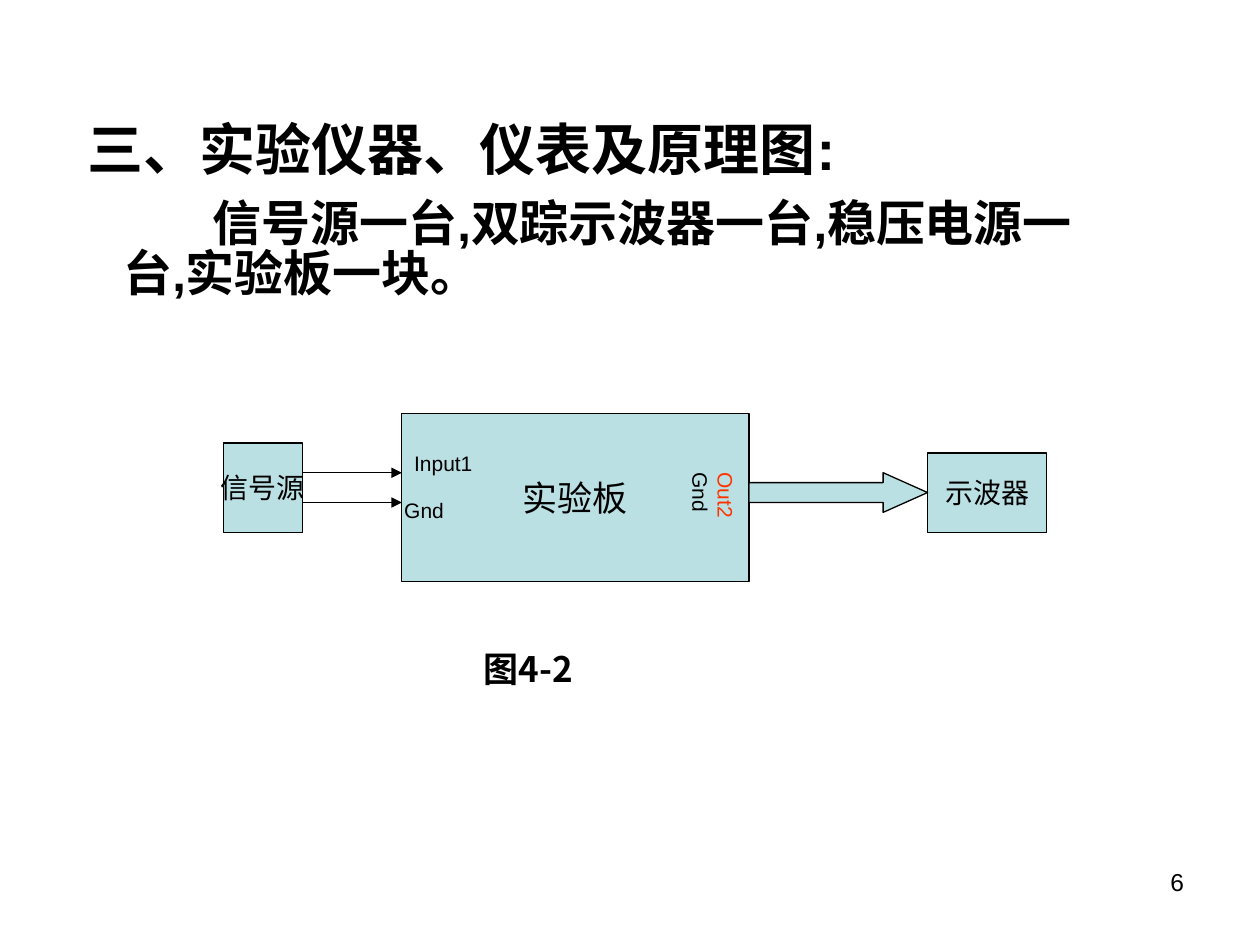
import dataclasses

import lxml.etree
import pptx
import pptx.dml.color
import pptx.enum.shapes
import pptx.enum.text
import pptx.oxml.ns
import pptx.util

Cm = pptx.util.Cm
Pt = pptx.util.Pt
ALIGN = pptx.enum.text.PP_ALIGN
SHAPE = pptx.enum.shapes.MSO_SHAPE


@dataclasses.dataclass(frozen=True)
class Theme:
    """Colours, fonts and type sizes of the slide."""
    ink: str = "000000"
    fill: str = "BBE0E3"
    accent: str = "FF3300"
    latin: str = "Arial"
    chinese: str = "Noto Sans CJK SC"
    heading: int = 32
    body: int = 28
    large: int = 20
    medium: int = 16
    page: int = 14
    small: int = 12
    line: float = 0.75


THEME = Theme()


def rgb(value):
    """Turn a hex string into a colour."""
    return pptx.dml.color.RGBColor.from_string(value)


def add_run(paragraph, text, size, color=THEME.ink, bold=False, font=THEME.latin):
    """Add one formatted run to a paragraph."""
    run = paragraph.add_run()
    run.text = text
    run.font.size = Pt(size)
    run.font.bold = bold
    run.font.name = font
    run.font.color.rgb = rgb(color)
    east_asian = lxml.etree.SubElement(run._r.get_or_add_rPr(), pptx.oxml.ns.qn("a:ea"))
    east_asian.set("typeface", THEME.chinese)


def add_text_box(slide, left, top, width, height):
    """Add a wrapping text box, measured in centimetres, and return its frame."""
    box = slide.shapes.add_textbox(Cm(left), Cm(top), Cm(width), Cm(height))
    box.text_frame.word_wrap = True
    return box.text_frame


def add_block(slide, kind, left, top, width, height):
    """Add a filled and outlined preset shape."""
    shape = slide.shapes.add_shape(kind, Cm(left), Cm(top), Cm(width), Cm(height))
    shape.shadow.inherit = False
    shape.fill.solid()
    shape.fill.fore_color.rgb = rgb(THEME.fill)
    shape.line.color.rgb = rgb(THEME.ink)
    shape.line.width = Pt(THEME.line)
    return shape


def add_device(slide, name, size, left, top, width, height):
    """Add a rectangle with a centred device name."""
    frame = add_block(slide, SHAPE.RECTANGLE, left, top, width, height).text_frame
    frame.word_wrap = False
    frame.vertical_anchor = pptx.enum.text.MSO_ANCHOR.MIDDLE
    paragraph = frame.paragraphs[0]
    paragraph.alignment = ALIGN.CENTER
    add_run(paragraph, name, size)


def add_wire(slide, left, top, length):
    """Add a horizontal line with an arrowhead on its right end."""
    wire = slide.shapes.add_connector(
        pptx.enum.shapes.MSO_CONNECTOR.STRAIGHT, Cm(left), Cm(top), Cm(left + length), Cm(top))
    wire.line.color.rgb = rgb(THEME.ink)
    wire.line.width = Pt(THEME.line)
    head = lxml.etree.SubElement(wire.line._get_or_add_ln(), pptx.oxml.ns.qn("a:tailEnd"))
    head.set("type", "triangle")
    lxml.etree.SubElement(wire._element.spPr, pptx.oxml.ns.qn("a:effectLst"))


def add_body(slide, left, top, width, height):
    """Add the heading and the list of instruments."""
    frame = add_text_box(slide, left, top, width, height)
    rows = (
        ("三、实验仪器、仪表及原理图:", THEME.heading, -0.72, 7),
        ("信号源一台,双踪示波器一台,稳压电源一台,实验板一块。", THEME.body, 1.8, 11),
    )
    for index, (text, size, indent, space) in enumerate(rows):
        paragraph = frame.add_paragraph() if index else frame.paragraphs[0]
        paragraph.line_spacing = 0.85
        paragraph.space_before = Pt(space)
        properties = paragraph._p.get_or_add_pPr()
        properties.set("marL", str(Cm(0.97)))
        properties.set("indent", str(Cm(indent)))
        add_run(paragraph, text, size, bold=True)


def add_output_label(slide, left, top, width, height):
    """Add the vertical output and ground labels."""
    frame = add_text_box(slide, left, top, width, height)
    properties = frame._txBody.bodyPr
    properties.set("vert", "eaVert")
    frame.margin_left = frame.margin_right = Cm(0.13)
    frame.margin_top = frame.margin_bottom = Cm(0.25)
    add_run(frame.paragraphs[0], "Out2", THEME.small, THEME.accent)
    add_run(frame.add_paragraph(), "Gnd", THEME.small)


def add_diagram(slide, left, top):
    """Add the block diagram with its wires, labels and caption."""
    devices = (
        ("实验板", THEME.large, 3.6, 0, 7, 3.4),
        ("信号源", THEME.medium, 0, 0.6, 1.6, 1.8),
        ("示波器", THEME.medium, 14.2, 0.8, 2.4, 1.6),
    )
    for name, size, x, y, width, height in devices:
        add_device(slide, name, size, left + x, top + y, width, height)
    for y in (1.2, 1.8):
        add_wire(slide, left + 1.6, top + y, 2)
    arrow = add_block(slide, SHAPE.RIGHT_ARROW, left + 10.6, top + 1.2, 3.6, 0.8)
    arrow.adjustments[0] = 0.5
    arrow.adjustments[1] = 1.12
    for name, x, y, width in (("Input1", 3.6, 0.63, 2.2), ("Gnd", 3.4, 1.57, 1.8)):
        frame = add_text_box(slide, left + x, top + y, width, 0.76)
        add_run(frame.paragraphs[0], name, THEME.small)
    add_output_label(slide, left + 9.25, top + 0.94, 1.27, 2.1)
    caption = add_text_box(slide, left + 5, top + 4.6, 5, 1.12)
    add_run(caption.paragraphs[0], "图4-2", THEME.large, bold=True, font=THEME.chinese)


def add_page_number(slide, left, top, width, height):
    """Add the right-aligned page number."""
    paragraph = add_text_box(slide, left, top, width, height).paragraphs[0]
    paragraph.alignment = ALIGN.RIGHT
    add_run(paragraph, "6", THEME.page)


def main():
    """Build and save the presentation."""
    presentation = pptx.Presentation()
    presentation.slide_width = Cm(25.4)
    presentation.slide_height = Cm(19.05)
    slide = presentation.slides.add_slide(presentation.slide_layouts[6])
    add_body(slide, 1.27, 2.39, 20.83, 14.68)
    add_diagram(slide, 4.5, 8.33)
    add_page_number(slide, 18.2, 17.35, 5.92, 1.32)
    presentation.save("out.pptx")


if __name__ == "__main__":
    main()
